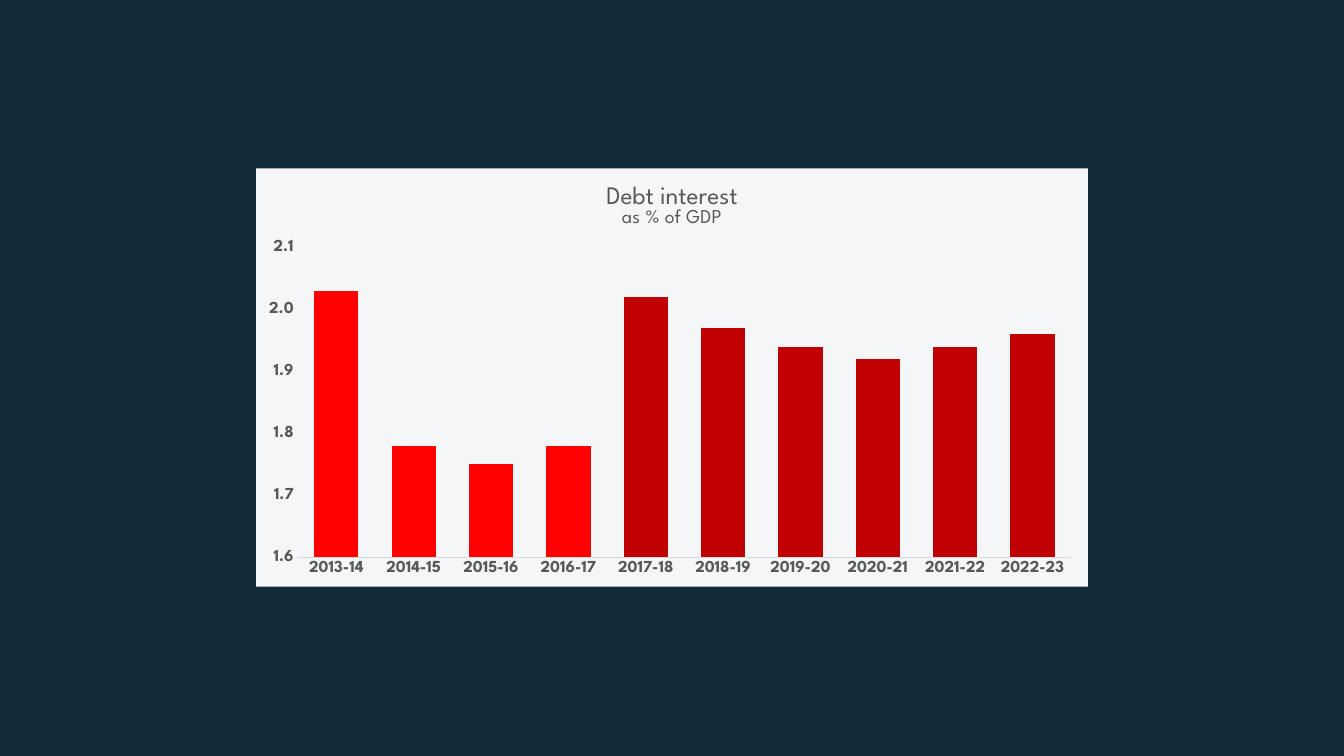
from dataclasses import dataclass

from lxml.etree import SubElement
from pptx import Presentation
from pptx.chart.data import CategoryChartData
from pptx.dml.color import RGBColor
from pptx.enum.chart import XL_CHART_TYPE, XL_TICK_MARK
from pptx.oxml import parse_xml
from pptx.oxml.ns import nsdecls, qn
from pptx.util import Inches, Pt


@dataclass(frozen=True)
class Theme:
    """Colours, font and type sizes of the slide."""
    back: RGBColor = RGBColor(0x12, 0x2B, 0x39)
    text: RGBColor = RGBColor(0x59, 0x59, 0x59)
    rule: RGBColor = RGBColor(0xD9, 0xD9, 0xD9)
    past: RGBColor = RGBColor(0xFF, 0x00, 0x00)
    plan: RGBColor = RGBColor(0xC0, 0x00, 0x00)
    panel: str = "FFFFFF"
    alpha: int = 96
    font: str = "League Spartan"
    head: int = 18
    sub: int = 14
    label: int = 12


THEME = Theme()
FIRST = 2013
PAST = 4
RATES = (2.03, 1.78, 1.75, 1.78, 2.02, 1.97, 1.94, 1.92, 1.94, 1.96)
YEARS = [f"{year}-{(year + 1) % 100}" for year in range(FIRST, FIRST + len(RATES))]


def style(font, size, bold=False):
    """Set the face, size, weight and colour of a font."""
    font.name = THEME.font
    font.size = Pt(size)
    font.bold = bold
    font.color.rgb = THEME.text


def add_head(chart):
    """Write the two-line chart title."""
    frame = chart.chart_title.text_frame
    frame.text = "Debt interest\nas % of GDP"
    for line, size in zip(frame.paragraphs, (THEME.head, THEME.sub)):
        style(line.runs[0].font, size)
    chart.chart_title.include_in_layout = False


def set_axes(chart):
    """Format both axes without ticks or grid lines."""
    for axis in (chart.category_axis, chart.value_axis):
        axis.major_tick_mark = axis.minor_tick_mark = XL_TICK_MARK.NONE
        axis.has_major_gridlines = False
        style(axis.tick_labels.font, THEME.label, True)
    line = chart.category_axis.format.line
    line.color.rgb = THEME.rule
    line.width = Pt(0.75)
    scale = chart.value_axis
    scale.minimum_scale, scale.maximum_scale, scale.major_unit = 1.6, 2.1, 0.1
    scale.format.line.fill.background()
    scale.tick_labels.number_format = "0.0"
    scale.tick_labels.number_format_is_linked = False


def set_bars(chart):
    """Colour the bars, with past years brighter than planned ones."""
    plot = chart.plots[0]
    plot.gap_width = 75
    plot.vary_by_categories = False
    bars = plot.series[0]
    bars.format.fill.solid()
    bars.format.fill.fore_color.rgb = THEME.plan
    for index in range(PAST):
        fill = bars.points[index].format.fill
        fill.solid()
        fill.fore_color.rgb = THEME.past


def set_panel(chart):
    """Fill the chart area and fix the inner plot box."""
    root = chart.element
    root.find(qn("c:chart")).addnext(parse_xml(
        f'<c:spPr {nsdecls("c", "a")}><a:solidFill><a:srgbClr val="{THEME.panel}">'
        f'<a:alpha val="{THEME.alpha * 1000}"/></a:srgbClr></a:solidFill>'
        '<a:ln><a:noFill/></a:ln></c:spPr>'))
    area = root.find(".//" + qn("c:plotArea"))
    for old in area.findall(qn("c:layout")):
        area.remove(old)
    grid = parse_xml(f'<c:layout {nsdecls("c")}><c:manualLayout/></c:layout>')
    parts = (("layoutTarget", "inner"), ("xMode", "edge"), ("yMode", "edge"),
             ("x", 0.05), ("y", 0.19), ("w", 0.93), ("h", 0.74))
    for tag, val in parts:
        SubElement(grid[0], qn("c:" + tag)).set("val", str(val))
    area.insert(0, grid)


def add_debt(slide, left, top, width, height):
    """Place the debt interest chart in the given box."""
    data = CategoryChartData(number_format="0.00")
    data.categories = YEARS
    data.add_series("Series 1", RATES)
    chart = slide.shapes.add_chart(
        XL_CHART_TYPE.COLUMN_CLUSTERED, left, top, width, height, data).chart
    chart.has_legend = False
    style(chart.font, THEME.label)
    add_head(chart)
    set_axes(chart)
    set_bars(chart)
    set_panel(chart)


def main():
    """Build and save the slide."""
    deck = Presentation()
    deck.slide_width, deck.slide_height = Inches(13.33), Inches(7.5)
    slide = deck.slides.add_slide(deck.slide_layouts[6])
    slide.background.fill.solid()
    slide.background.fill.fore_color.rgb = THEME.back
    add_debt(slide, Inches(2.54), Inches(1.67), Inches(8.25), Inches(4.15))
    deck.save("out.pptx")


if __name__ == "__main__":
    main()
